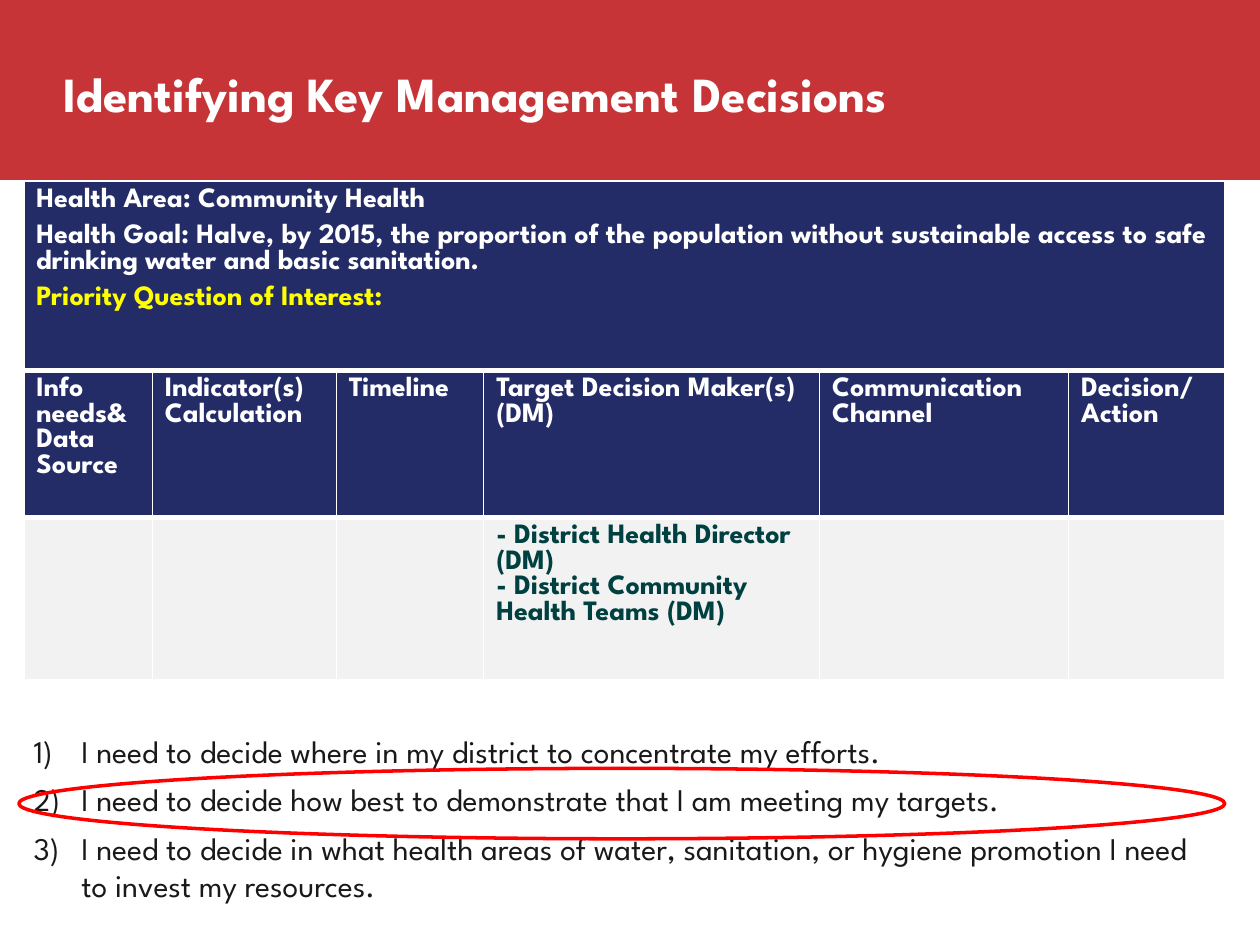
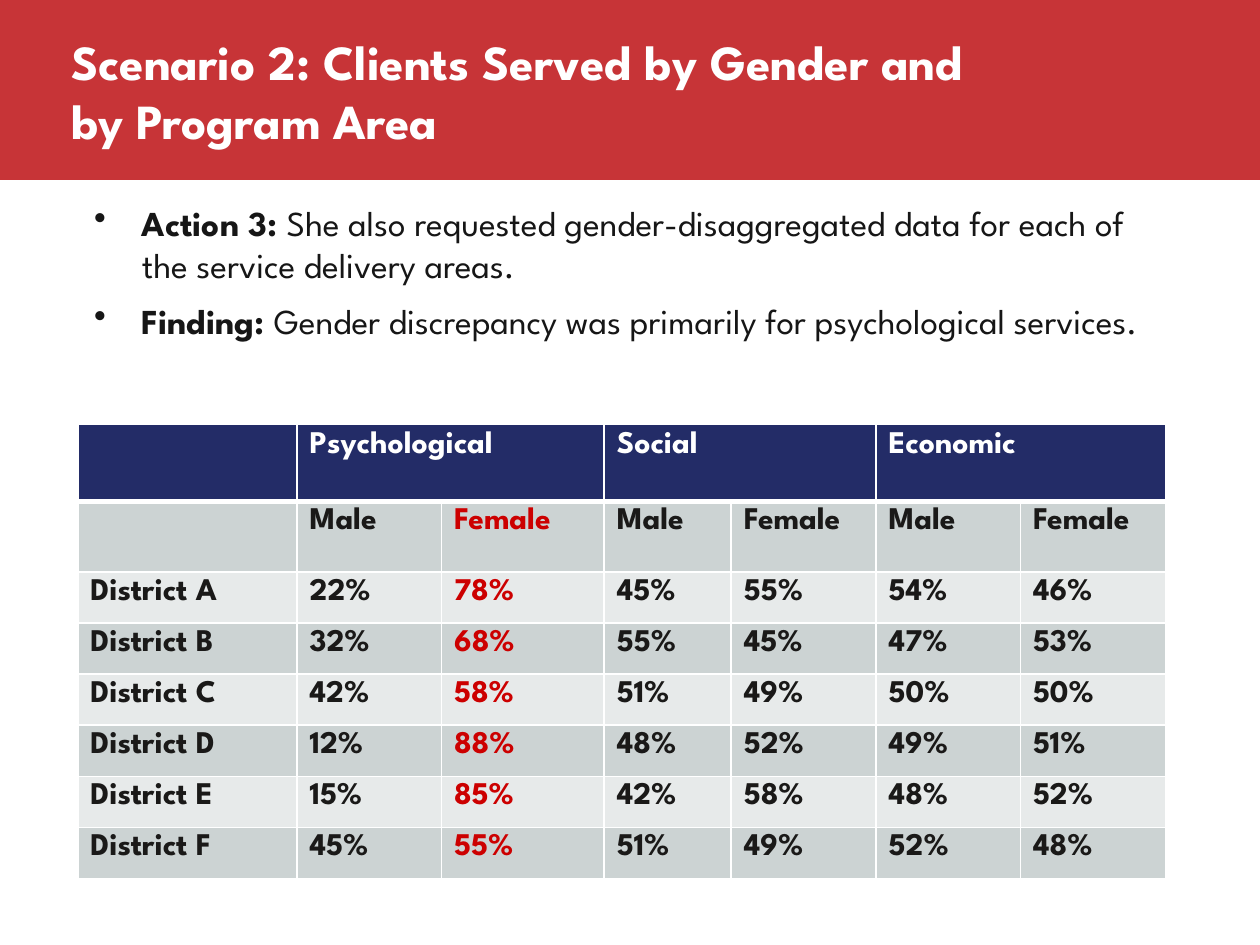
from dataclasses import dataclass

from lxml.etree import SubElement
from pptx import Presentation
from pptx.dml.color import RGBColor
from pptx.enum.shapes import MSO_SHAPE
from pptx.enum.text import MSO_ANCHOR, MSO_AUTO_SIZE, PP_ALIGN
from pptx.oxml.ns import qn
from pptx.util import Cm, Pt


@dataclass(frozen=True)
class Theme:
    face: str = "League Spartan"
    red: str = "C73437"
    navy: str = "232C67"
    white: str = "FFFFFF"
    yellow: str = "FFFF00"
    ring: str = "FF0000"
    alert: str = "CC0000"
    teal: str = "004040"
    ink: str = "1A1918"
    text: str = "161616"
    pale: str = "F2F2F2"
    dark: str = "CCD3D3"
    light: str = "E7EAEA"
    title: int = 28
    body: int = 20
    small: int = 18
    tiny: int = 16
    thin: int = 1
    thick: int = 3


T = Theme()
NEED = "I need to decide "
NEEDS = [
    "where in my district to concentrate my efforts.",
    "how best to demonstrate that I am meeting my targets.",
    "in what health areas of water, sanitation, or hygiene promotion "
    "I need to invest my resources.",
]
GOALS = "\n".join([
    "Health Area: Community Health",
    "Health Goal: Halve, by 2015, the proportion of the population without "
    "sustainable access to safe drinking water and basic sanitation.",
    "Priority Question of Interest:",
])
HEADS = ["Info needs& Data Source", "Indicator(s)\nCalculation", "Timeline",
         "Target Decision Maker(s) (DM)", "Communication Channel",
         "Decision/ Action"]
MAKERS = "- District Health Director (DM)\n- District Community Health Teams (DM)"
AREAS = ["Psychological", "Social", "Economic"]
# Male and female shares for each area, by district
SHARES = {
    "A": (22, 78, 45, 55, 54, 46),
    "B": (32, 68, 55, 45, 47, 53),
    "C": (42, 58, 51, 49, 50, 50),
    "D": (12, 88, 48, 52, 49, 51),
    "E": (15, 85, 42, 58, 48, 52),
    "F": (45, 55, 51, 49, 52, 48),
}


def rgb(code):
    return RGBColor.from_string(code)


def cms(*sizes):
    return [Cm(size) for size in sizes]


def style(para, size, color, bold=False):
    font = para.font
    font.name, font.size, font.bold = T.face, Pt(size), bold
    font.color.rgb = rgb(color)


# Shared frame: red band with the title on it
def add_page(deck, title, box):
    slide = deck.slides.add_slide(deck.slide_layouts[5])
    head = slide.shapes.title
    band = slide.shapes.add_shape(MSO_SHAPE.RECTANGLE,
                                  *cms(-0.51, -0.05, 26.09, 3.68))
    band.shadow.inherit = False
    band.fill.solid()
    band.fill.fore_color.rgb = rgb(T.red)
    band.line.fill.background()
    head.element.addprevious(band.element)

    head.left, head.top, head.width, head.height = cms(*box)
    frame = head.text_frame
    frame.text = title
    frame.word_wrap = True
    frame.auto_size = MSO_AUTO_SIZE.NONE
    frame.vertical_anchor = MSO_ANCHOR.MIDDLE
    for para in frame.paragraphs:
        para.alignment = PP_ALIGN.LEFT
        style(para, T.title, T.white, True)
    return slide


# Lists: each item is a bold lead-in and the words after it
def add_list(slide, box, items, size, color, before, after, number=False):
    frame = slide.shapes.add_textbox(*cms(*box)).text_frame
    frame.word_wrap = True
    for i, (lead, words) in enumerate(items):
        para = frame.add_paragraph() if i else frame.paragraphs[0]
        para.space_before, para.space_after = Pt(before), Pt(after)
        style(para, size, color)
        if lead:
            para.add_run().text = lead
            para.runs[0].font.bold = True
        para.add_run().text = words
        set_bullet(para, number)


def set_bullet(para, number):
    props = para._p.get_or_add_pPr()
    props.set("marL", str(Cm(0.96)))
    props.set("indent", str(-Cm(0.96)))
    if number:
        mark = props.makeelement(qn("a:buAutoNum"), {"type": "arabicParenR"})
    else:
        mark = props.makeelement(qn("a:buChar"), {"char": "•"})
    props.find(qn("a:defRPr")).addprevious(mark)


def add_ring(slide, box):
    ring = slide.shapes.add_shape(MSO_SHAPE.OVAL, *cms(*box))
    ring.shadow.inherit = False
    ring.fill.background()
    ring.line.color.rgb = rgb(T.ring)
    ring.line.width = Pt(2)


# Tables: rules gives the line weights from the top edge to the bottom one
def add_grid(slide, spot, cols, rows, rules):
    shape = slide.shapes.add_table(len(rows), len(cols), *cms(*spot),
                                   Cm(sum(cols)), Cm(sum(rows)))
    grid = shape.table
    grid.first_row = grid.horz_banding = False
    for col, width in zip(grid.columns, cols):
        col.width = Cm(width)
    for r, (row, height) in enumerate(zip(grid.rows, rows)):
        row.height = Cm(height)
        for cell in row.cells:
            set_rules(cell, rules[r], rules[r + 1])
    return grid


def set_rules(cell, top, bottom):
    props = cell._tc.get_or_add_tcPr()
    weights = {"lnL": T.thin, "lnR": T.thin, "lnT": top, "lnB": bottom}
    for side, weight in weights.items():
        line = SubElement(props, qn("a:" + side), w=str(Pt(weight)))
        fill = SubElement(line, qn("a:solidFill"))
        SubElement(fill, qn("a:srgbClr"), val=T.white)


def put(cell, text, fill, size, color, after=0):
    cell.fill.solid()
    cell.fill.fore_color.rgb = rgb(fill)
    cell.text = text
    for para in cell.text_frame.paragraphs:
        para.space_after = Pt(after)
        style(para, size, color, True)


def add_plan(slide):
    grid = add_grid(slide, (0.48, 3.66), [2.59, 3.71, 2.97, 6.77, 5.02, 3.15],
                    [3.81, 2.96, 3.3], [T.thin] + [T.thick] * 3)
    goal = grid.cell(0, 0)
    goal.merge(grid.cell(0, 5))
    put(goal, GOALS, T.navy, T.tiny, T.white, 6)
    goal.text_frame.paragraphs[-1].font.color.rgb = rgb(T.yellow)
    for c, head in enumerate(HEADS):
        put(grid.cell(1, c), head, T.navy, T.tiny, T.white)
        put(grid.cell(2, c), MAKERS if c == 3 else "", T.pale, T.tiny, T.teal)


def add_shares(slide):
    grid = add_grid(slide, (1.57, 8.56),
                    [4.42, 2.91, 3.28, 2.56, 2.92, 2.91, 2.92],
                    [1.55, 1.42] + [1.03] * 6,
                    [T.thin, T.thick] + [T.thin] * 7)
    put(grid.cell(0, 0), "", T.navy, T.small, T.white)
    for c, area in zip(range(1, 7, 2), AREAS):
        grid.cell(0, c).merge(grid.cell(0, c + 1))
        put(grid.cell(0, c), area, T.navy, T.small, T.white)

    lines = [["", *["Male", "Female"] * 3]]
    lines += [[f"District {name}", *(f"{n}%" for n in shares)]
              for name, shares in SHARES.items()]
    for r, line in enumerate(lines, 1):
        fill = T.dark if r % 2 else T.light
        for c, text in enumerate(line):
            put(grid.cell(r, c), text, fill, T.small,
                T.alert if c == 2 else T.ink)


def main():
    deck = Presentation()
    deck.slide_width, deck.slide_height = cms(25.4, 19.05)

    # Decisions
    page = add_page(deck, "Identifying Key Management Decisions",
                    (1.02, 1.14, 21.97, 1.45))
    add_list(page, (0.43, 14.63, 24.26, 3.76),
             [("", NEED + need) for need in NEEDS],
             T.small, T.ink, 0, 6, number=True)
    add_ring(page, (0.38, 15.49, 24.31, 1.42))
    add_plan(page)

    # Scenario
    page = add_page(deck, "Scenario 2: Clients Served by Gender and \vby Program Area",
                    (1.19, 0.23, 21.56, 3.18))
    add_shares(page)
    add_list(page, (1.65, 3.94, 21.74, 4.01),
             [("Action 3: ", "She also requested gender-disaggregated data "
               "for each of the service delivery areas."),
              ("Finding: ", "Gender discrepancy was primarily for "
               "psychological services.")],
             T.body, T.text, 4, 4)

    deck.save("out.pptx")


if __name__ == "__main__":
    main()
